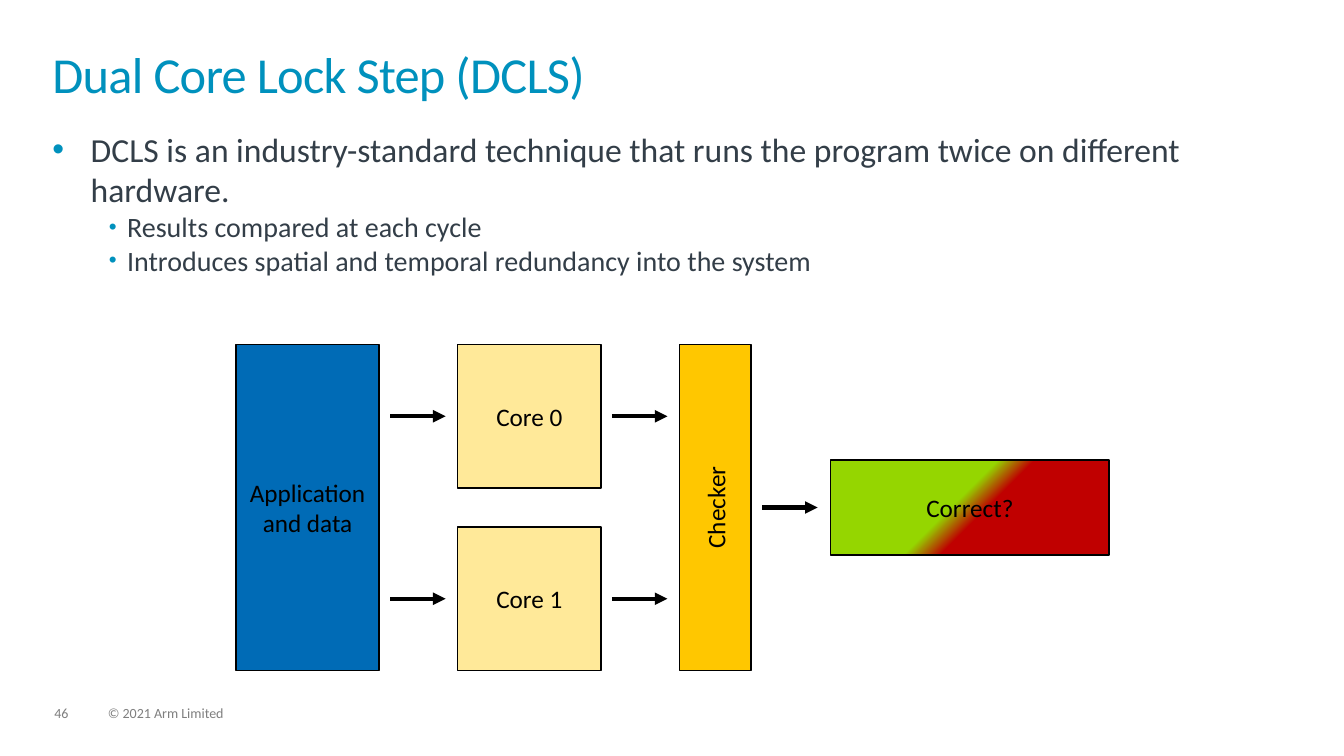
from lxml import etree
from pptx import Presentation
from pptx.dml.color import RGBColor
from pptx.enum.shapes import MSO_CONNECTOR, MSO_SHAPE
from pptx.enum.text import MSO_ANCHOR, PP_ALIGN
from pptx.oxml.ns import qn
from pptx.util import Inches, Pt

RECTANGLE = MSO_SHAPE.RECTANGLE
STRAIGHT = MSO_CONNECTOR.STRAIGHT
MIDDLE = MSO_ANCHOR.MIDDLE
CENTER = PP_ALIGN.CENTER

FONT = "Calibri"
COLORS = {
    "accent": "0091BD",
    "body": "333E48",
    "footer": "7F7F7F",
    "black": "000000",
    "application": "006BB6",
    "core": "FFE999",
    "checker": "FFC700",
    "correct": "95D600",
    "wrong": "C00000",
}


def color(name):
    """Return the named colour."""
    return RGBColor.from_string(COLORS[name])


def add_run(paragraph, text, size, color_name):
    """Append a formatted run to a paragraph."""
    run = paragraph.add_run()
    run.text = text
    run.font.name = FONT
    run.font.size = Pt(size)
    run.font.color.rgb = color(color_name)
    return run


def add_text_frame(slide, left, top, width, height):
    """Add a wrapping text box without margins and return its frame."""
    frame = slide.shapes.add_textbox(
        Inches(left), Inches(top), Inches(width), Inches(height)).text_frame
    frame.word_wrap = True
    frame.margin_left = frame.margin_right = 0
    frame.margin_top = frame.margin_bottom = 0
    return frame


def add_title(slide, left, top, width, height):
    """Place the slide title."""
    paragraph = add_text_frame(slide, left, top, width, height).paragraphs[0]
    paragraph.line_spacing = 0.85
    run = add_run(paragraph, "Dual Core Lock Step (DCLS)", 36, "accent")
    run.font._element.set("spc", "-50")


def set_bullet(paragraph, indent, hanging, percent):
    """Give a paragraph a coloured bullet and a hanging indent."""
    properties = paragraph._p.get_or_add_pPr()
    properties.set("marL", str(Inches(indent)))
    properties.set("indent", str(-Inches(hanging)))
    bullet_color = etree.SubElement(properties, qn("a:buClr"))
    etree.SubElement(bullet_color, qn("a:srgbClr"), val=COLORS["accent"])
    etree.SubElement(properties, qn("a:buSzPct"), val=str(percent * 1000))
    etree.SubElement(properties, qn("a:buFont"), typeface="Arial")
    etree.SubElement(properties, qn("a:buChar"), char="•")


def add_body(slide, left, top, width, height):
    """Place the bulleted explanation."""
    frame = add_text_frame(slide, left, top, width, height)
    points = [
        (0, "DCLS is an industry-standard technique that runs the program "
            "twice on different hardware."),
        (1, "Results compared at each cycle"),
        (1, "Introduces spatial and temporal redundancy into the system"),
    ]
    level_styles = [(24, 0.38, 0.38, 100), (20, 0.74, 0.18, 80)]
    for index, (level, text) in enumerate(points):
        paragraph = frame.add_paragraph() if index else frame.paragraphs[0]
        size, indent, hanging, percent = level_styles[level]
        paragraph.level = level
        set_bullet(paragraph, indent, hanging, percent)
        add_run(paragraph, text, size, "body")


def add_block(slide, label, fill_name, left, top, width, height):
    """Place one labelled block of the diagram."""
    block = slide.shapes.add_shape(
        RECTANGLE, Inches(left), Inches(top), Inches(width), Inches(height))
    block.shadow.inherit = False
    block.fill.solid()
    block.fill.fore_color.rgb = color(fill_name)
    block.line.color.rgb = color("black")
    block.line.width = Pt(1)
    frame = block.text_frame
    frame.word_wrap = True
    frame.vertical_anchor = MIDDLE
    frame.paragraphs[0].alignment = CENTER
    add_run(frame.paragraphs[0], label, 18, "black")
    return block


def set_verdict_gradient(block):
    """Blend a block diagonally from correct to wrong."""
    block.fill.gradient()
    block.fill.gradient_angle = 315
    stops = block._element.spPr.find(qn("a:gradFill")).find(qn("a:gsLst"))
    for stop in list(stops):
        stops.remove(stop)
    for percent, name in [(0, "correct"), (45, "correct"),
                          (55, "wrong"), (100, "wrong")]:
        stop = etree.SubElement(stops, qn("a:gs"), pos=str(percent * 1000))
        etree.SubElement(stop, qn("a:srgbClr"), val=COLORS[name])


def add_arrow(slide, left, y, length):
    """Draw an arrow pointing right."""
    arrow = slide.shapes.add_connector(
        STRAIGHT, Inches(left), Inches(y), Inches(left + length), Inches(y))
    arrow.line.color.rgb = color("black")
    arrow.line.width = Pt(3)
    etree.SubElement(arrow.line._get_or_add_ln(), qn("a:tailEnd"), type="triangle")
    etree.SubElement(arrow._element.spPr, qn("a:effectLst"))


def add_diagram(slide, left, top, width, height):
    """Place the lock-step flow from application to verdict."""
    core_size, checker_width, gap = 1.42, 0.71, 0.78
    verdict_width, verdict_height = 2.76, 0.94
    arrow_length, arrow_gap = 0.55, 0.11
    core_left = left + core_size + gap
    checker_left = core_left + core_size + gap
    verdict_left = left + width - verdict_width
    middle = top + height / 2

    for number, core_top in enumerate([top, top + height - core_size]):
        add_block(slide, f"Core {number}", "core",
                  core_left, core_top, core_size, core_size)
        for source_right in (left + core_size, core_left + core_size):
            add_arrow(slide, source_right + arrow_gap,
                      core_top + core_size / 2, arrow_length)

    add_block(slide, "Application and data", "application",
              left, top, core_size, height)
    checker = add_block(slide, "Checker", "checker",
                        checker_left, top, checker_width, height)
    checker.text_frame._txBody.bodyPr.set("vert", "vert270")
    verdict = add_block(slide, "Correct?", "correct", verdict_left,
                        middle - verdict_height / 2, verdict_width, verdict_height)
    set_verdict_gradient(verdict)
    add_arrow(slide, checker_left + checker_width + arrow_gap, middle, arrow_length)


def add_footer(slide, left, top, width, height):
    """Place the slide number and the copyright line."""
    number_width, copyright_offset = 0.34, 0.53
    for text, offset, part_width in [
            ("46", 0, number_width),
            ("© 2021 Arm Limited", copyright_offset, width - copyright_offset)]:
        frame = add_text_frame(slide, left + offset, top, part_width, height)
        frame.paragraphs[0].line_spacing = 0.9
        add_run(frame.paragraphs[0], text, 10, "footer")


def main():
    """Build and save the presentation."""
    presentation = Presentation()
    presentation.slide_width = Inches(13.33)
    presentation.slide_height = Inches(7.5)
    slide = presentation.slides.add_slide(presentation.slide_layouts[6])
    add_title(slide, 0.52, 0.52, 12.28, 0.72)
    add_body(slide, 0.52, 1.28, 12.28, 1.6)
    add_diagram(slide, 2.34, 3.42, 8.66, 3.23)
    add_footer(slide, 0.54, 7.01, 5.6, 0.15)
    presentation.save("out.pptx")


if __name__ == "__main__":
    main()
